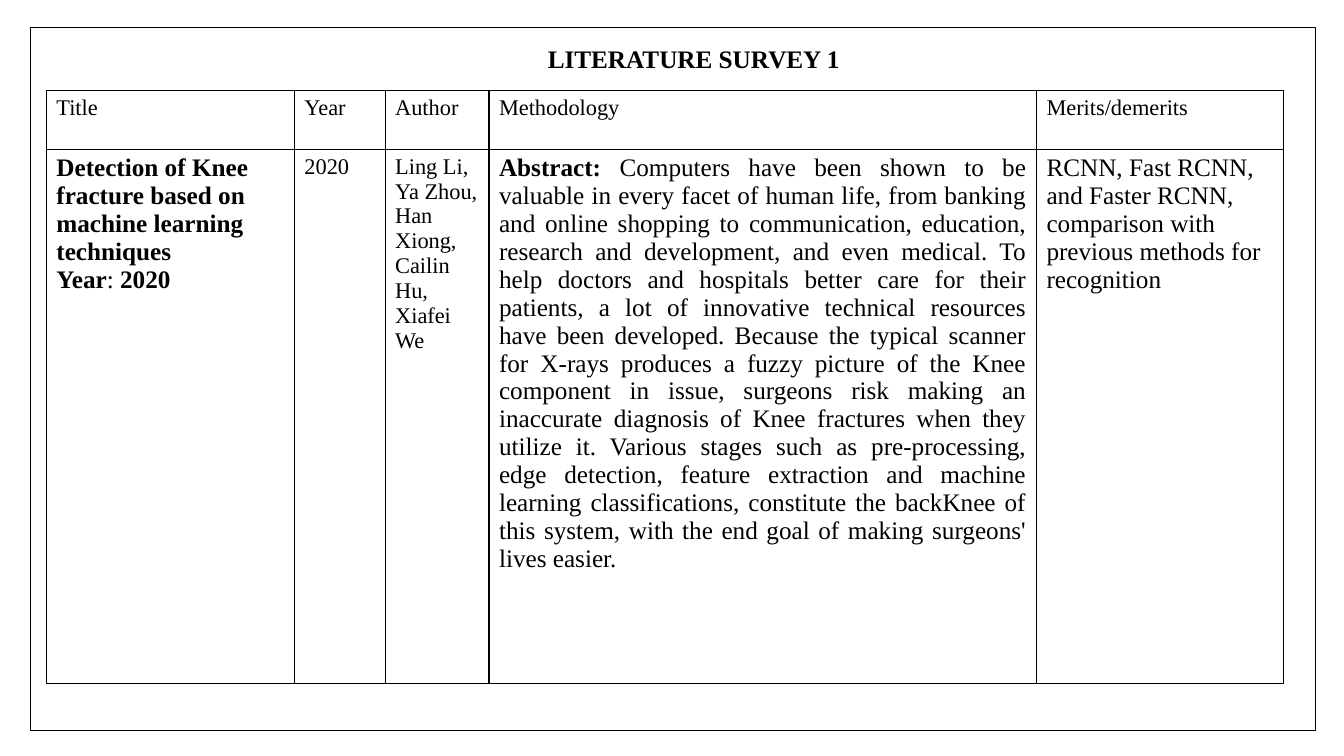
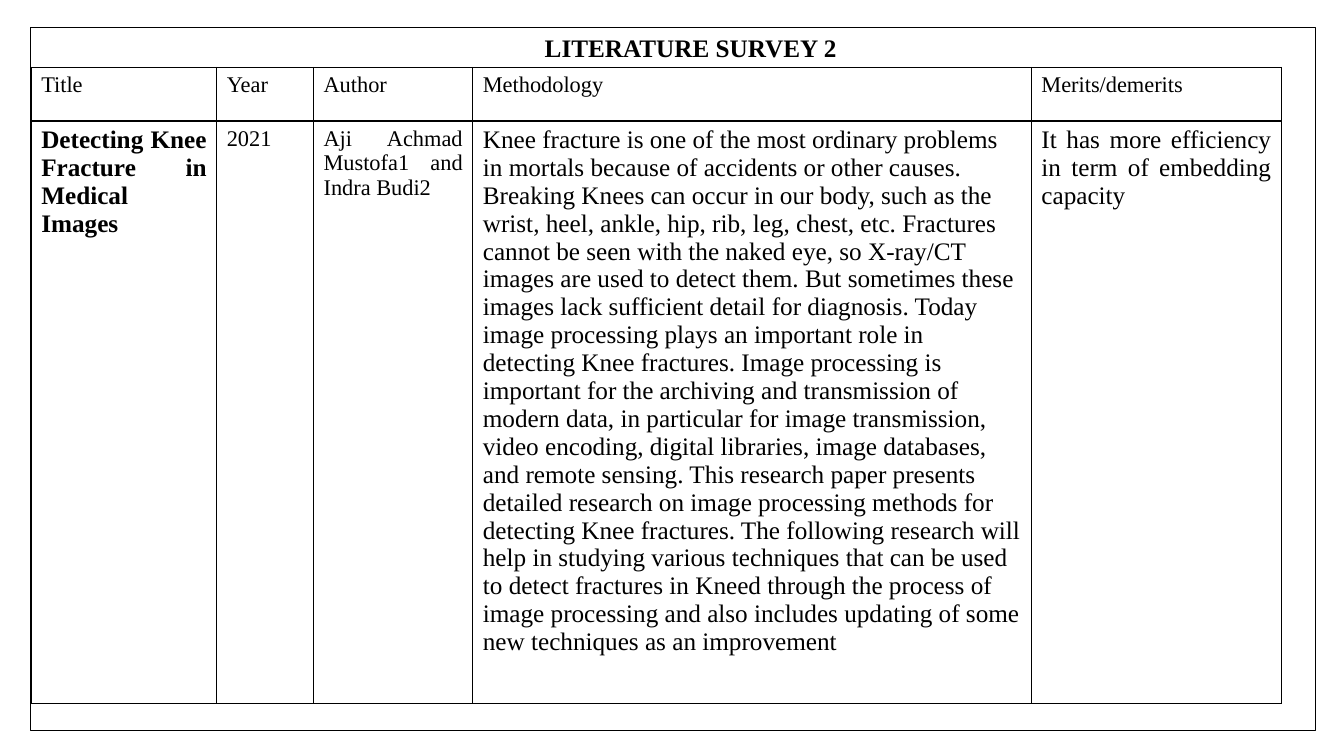
from dataclasses import dataclass
from typing import NamedTuple

from lxml import etree
from pptx import Presentation
from pptx.dml.color import RGBColor
from pptx.enum.shapes import MSO_SHAPE
from pptx.enum.text import MSO_ANCHOR, MSO_AUTO_SIZE, PP_ALIGN
from pptx.oxml.ns import qn
from pptx.util import Inches, Pt

BLACK = RGBColor(0x00, 0x00, 0x00)
WHITE = RGBColor(0xFF, 0xFF, 0xFF)
FONT = "Times New Roman"
LINE_WIDTH = Pt(1)
SMALL, LARGE = 16, 18
LEFT, CENTER, JUSTIFY = PP_ALIGN.LEFT, PP_ALIGN.CENTER, PP_ALIGN.JUSTIFY
RECTANGLE = MSO_SHAPE.RECTANGLE
TOP = MSO_ANCHOR.TOP
NO_AUTOFIT = MSO_AUTO_SIZE.NONE
TITLE_ONLY = 5
HEADINGS = ("Title", "Year", "Author", "Methodology", "Merits/demerits")


class Span(NamedTuple):
    text: str
    bold: bool = False


@dataclass(frozen=True)
class CellText:
    paragraphs: tuple[tuple[Span, ...], ...]
    size: int = SMALL
    align: PP_ALIGN = LEFT


@dataclass(frozen=True)
class Survey:
    title: str
    title_at: tuple[float, float]
    table_at: tuple[float, float]
    columns: tuple[float, ...]
    rows: tuple[float, float]
    heading_align: PP_ALIGN
    entries: tuple[CellText, ...]


def plain(text: str, size: int = SMALL, align: PP_ALIGN = LEFT) -> CellText:
    return CellText(((Span(text),),), size, align)


SURVEYS = (
    Survey(
        title="LITERATURE SURVEY 1",
        title_at=(5.32, 0.38),
        table_at=(0.46, 0.9),
        columns=(2.46, 0.9, 1.03, 5.43, 2.45),
        rows=(0.58, 5.3),
        heading_align=LEFT,
        entries=(
            CellText((
                (Span("Detection of Knee fracture based on machine learning "
                      "techniques", True),),
                (Span("Year", True), Span(": "), Span("2020", True)),
            ), LARGE),
            plain("2020"),
            plain("Ling Li, Ya Zhou, Han Xiong, Cailin Hu, Xiafei We"),
            CellText(((
                Span("Abstract: ", True),
                Span(
                    "Computers have been shown to be valuable in every facet of "
                    "human life, from banking and online shopping to "
                    "communication, education, research and development, and "
                    "even medical. To help doctors and hospitals better care "
                    "for their patients, a lot of innovative technical "
                    "resources have been developed. "),
                Span(
                    "Because the typical scanner "
                    "for X-rays produces a fuzzy picture of the Knee component "
                    "in issue, surgeons risk making an inaccurate diagnosis of "
                    "Knee fractures when they utilize it. Various stages such "
                    "as pre-processing, edge detection, feature extraction and "
                    "machine learning classifications, constitute the backKnee "
                    "of this system, with the end goal of making surgeons' "
                    "lives easier."),
            ),), LARGE, JUSTIFY),
            CellText((
                (Span("RCNN, Fast RCNN, and Faster RCNN,"),),
                (Span("comparison with previous methods for recognition"),),
            ), LARGE),
        ),
    ),
    Survey(
        title="LITERATURE SURVEY 2",
        title_at=(5.29, 0.27),
        table_at=(0.31, 0.67),
        columns=(1.84, 0.96, 1.58, 5.54, 2.48),
        rows=(0.53, 5.78),
        heading_align=JUSTIFY,
        entries=(
            CellText(((Span("Detecting Knee Fracture in Medical Images", True),),),
                     LARGE, JUSTIFY),
            plain("2021", align=JUSTIFY),
            plain("Aji Achmad Mustofa1 and Indra Budi2", align=JUSTIFY),
            CellText(((
                Span(
                    "Knee fracture is one of the most ordinary problems in "
                    "mortals because of accidents or other causes. Breaking "
                    "Knees can occur in our body, such as the wrist, heel, "
                    "ankle, hip, rib, leg, chest, etc. Fractures cannot be seen "
                    "with the naked eye, so X-ray/CT images are used to detect "
                    "them. But sometimes these images lack sufficient detail "
                    "for diagnosis. Today image processing plays an important "
                    "role in detecting Knee fractures. "),
                Span(
                    "Image processing is important for the archiving and "
                    "transmission of modern data, in particular for image "
                    "transmission, video encoding, digital libraries, image "
                    "databases, and remote sensing. This research paper "
                    "presents detailed research on image processing methods for "
                    "detecting Knee fractures. The following research will help "
                    "in studying various techniques that can be used to detect "
                    "fractures in Kneed through the process of image processing "
                    "and also includes updating of some new techniques as an "
                    "improvement"),
            ),), LARGE),
            plain("It has more efficiency in term of embedding capacity",
                  LARGE, JUSTIFY),
        ),
    ),
)


def write_text(tf, content: CellText) -> None:
    for i, spans in enumerate(content.paragraphs):
        p = tf.paragraphs[0] if i == 0 else tf.add_paragraph()
        p.alignment = content.align
        for span in spans:
            r = p.add_run()
            r.text = span.text
            r.font.name = FONT
            r.font.size = Pt(content.size)
            r.font.bold = span.bold
            r.font.color.rgb = BLACK


def add_borders(cell) -> None:
    props = cell._tc.get_or_add_tcPr()
    for side in ("lnL", "lnR", "lnT", "lnB"):
        line = etree.SubElement(props, qn(f"a:{side}"), w=str(LINE_WIDTH))
        fill = etree.SubElement(line, qn("a:solidFill"))
        etree.SubElement(fill, qn("a:srgbClr"), val=str(BLACK))


def format_title(s, survey: Survey) -> None:
    sp = s.shapes.title
    left, top = survey.title_at
    sp.left, sp.top = Inches(left), Inches(top)
    sp.width, sp.height = Inches(3.12), Inches(0.4)
    tf = sp.text_frame
    tf.word_wrap = False
    tf.auto_size = NO_AUTOFIT
    tf.vertical_anchor = TOP
    write_text(tf, CellText(((Span(survey.title, True),),), LARGE, CENTER))


def add_survey_table(s, survey: Survey) -> None:
    left, top = survey.table_at
    table = s.shapes.add_table(
        len(survey.rows), len(survey.columns), Inches(left), Inches(top),
        Inches(sum(survey.columns)), Inches(sum(survey.rows))).table
    table.first_row = table.horz_banding = False
    for column, width in zip(table.columns, survey.columns):
        column.width = Inches(width)
    headings = [plain(text, align=survey.heading_align) for text in HEADINGS]
    for row, height, contents in zip(table.rows, survey.rows,
                                     (headings, survey.entries)):
        row.height = Inches(height)
        for cell, content in zip(row.cells, contents):
            add_borders(cell)
            cell.fill.background()
            write_text(cell.text_frame, content)


def add_frame(s) -> None:
    sp = s.shapes.add_shape(RECTANGLE, Inches(0.3), Inches(0.27),
                            Inches(12.75), Inches(6.98))
    sp.shadow.inherit = False
    sp.fill.background()
    sp.line.color.rgb = BLACK
    sp.line.width = LINE_WIDTH


def main() -> None:
    prs = Presentation()
    prs.slide_width, prs.slide_height = Inches(13.33), Inches(7.5)
    background = prs.slide_master.background.fill
    background.solid()
    background.fore_color.rgb = WHITE
    for survey in SURVEYS:
        s = prs.slides.add_slide(prs.slide_layouts[TITLE_ONLY])
        add_survey_table(s, survey)
        format_title(s, survey)
        add_frame(s)
    prs.save("out.pptx")


if __name__ == "__main__":
    main()
